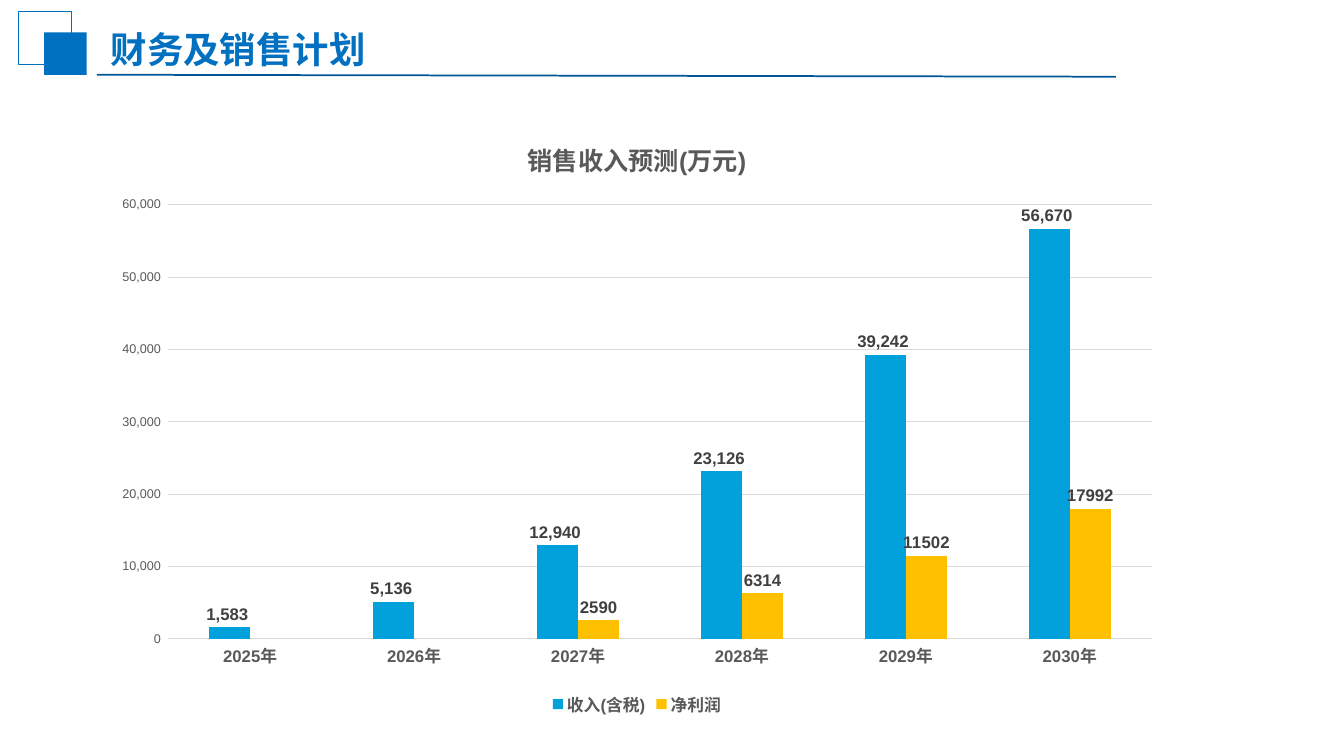
from lxml import etree
from pptx import Presentation
from pptx.chart.data import CategoryChartData
from pptx.dml.color import RGBColor
from pptx.enum import chart as charts, shapes, text
from pptx.oxml import ns
from pptx.util import Pt

CJK_FONT = "Noto Sans CJK SC"
BLUE = "0070C0"
GRID_GREY = "D9D9D9"
TEXT_GREY = "595959"


def color(hex_string):
    return RGBColor.from_string(hex_string)


def style_font(font, size, hex_string, bold=False, name="Arial"):
    font.size = Pt(size)
    font.bold = bold
    font.color.rgb = color(hex_string)
    font.name = name
    # East Asian characters use their own typeface
    etree.SubElement(font._rPr, ns.qn("a:ea"), typeface=CJK_FONT)


def style_line(line, hex_string, width):
    line.color.rgb = color(hex_string)
    line.width = Pt(width)


def add_square(slide, left, top, side):
    shape = slide.shapes.add_shape(
        shapes.MSO_SHAPE.RECTANGLE, Pt(left), Pt(top), Pt(side), Pt(side))
    shape.shadow.inherit = False
    return shape


def add_header(slide, left, top, title):
    # Rule under the title
    rule = slide.shapes.add_connector(
        shapes.MSO_CONNECTOR.STRAIGHT,
        Pt(left + 56.2), Pt(top + 45.4), Pt(left + 784), Pt(top + 46.8))
    style_line(rule.line, "015695", 1.25)
    etree.SubElement(rule._element.spPr, ns.qn("a:effectLst"))

    # Overlapping squares
    outline = add_square(slide, left, top, 37.8)
    outline.fill.background()
    style_line(outline.line, BLUE, 0.75)
    solid = add_square(slide, left + 18.5, top + 15.2, 30.4)
    solid.fill.solid()
    solid.fill.fore_color.rgb = color(BLUE)
    solid.line.fill.background()

    # Title
    box = slide.shapes.add_textbox(
        Pt(left + 59), Pt(top - 5), Pt(688.3), Pt(51.1))
    frame = box.text_frame
    frame.word_wrap = True
    frame.vertical_anchor = text.MSO_ANCHOR.MIDDLE
    paragraph = frame.paragraphs[0]
    paragraph.line_spacing = 1.4
    run = paragraph.add_run()
    run.text = title
    style_font(run.font, 26, "0170C1", True, CJK_FONT)


def style_axes(chart):
    category_axis = chart.category_axis
    style_font(category_axis.tick_labels.font, 12, TEXT_GREY, True)
    style_line(category_axis.format.line, GRID_GREY, 0.75)

    value_axis = chart.value_axis
    style_font(value_axis.tick_labels.font, 9, TEXT_GREY)
    value_axis.tick_labels.number_format = "#,##0_ "
    value_axis.tick_labels.number_format_is_linked = False
    value_axis.minimum_scale = 0
    value_axis.maximum_scale = 60000
    value_axis.major_unit = 10000
    value_axis.format.line.fill.background()
    style_line(value_axis.major_gridlines.format.line, GRID_GREY, 0.75)

    for axis in (category_axis, value_axis):
        axis.major_tick_mark = charts.XL_TICK_MARK.NONE
        axis.minor_tick_mark = charts.XL_TICK_MARK.NONE


def add_sales_chart(slide, left, top, width, height):
    data = CategoryChartData()
    data.categories = [f"{year}年" for year in range(2025, 2031)]
    data.add_series("收入(含税)", (1583, 5136, 12940, 23126, 39242, 56670))
    data.add_series("净利润", (None, None, 2590, 6314, 11502, 17992))
    chart = slide.shapes.add_chart(
        charts.XL_CHART_TYPE.COLUMN_CLUSTERED,
        Pt(left), Pt(top), Pt(width), Pt(height), data).chart
    style_font(chart.font, 10, "000000")

    # Title and legend
    chart.has_title = True
    run = chart.chart_title.text_frame.paragraphs[0].add_run()
    run.text = "销售收入预测(万元)"
    style_font(run.font, 18, TEXT_GREY, True)
    chart.chart_title.include_in_layout = False
    chart.has_legend = True
    chart.legend.position = charts.XL_LEGEND_POSITION.BOTTOM
    chart.legend.include_in_layout = False
    style_font(chart.legend.font, 12, TEXT_GREY, True)

    style_axes(chart)

    # Columns and their values
    plot = chart.plots[0]
    plot.gap_width = 199
    plot.overlap = 0
    plot.vary_by_categories = False
    looks = (("02A1DC", "#,##0_ "), ("FFC000", "General"))
    for series, (fill, number_format) in zip(plot.series, looks):
        series.format.fill.solid()
        series.format.fill.fore_color.rgb = color(fill)
        labels = series.data_labels
        labels.show_value = True
        labels.number_format = number_format
        labels.number_format_is_linked = False
        labels.position = charts.XL_LABEL_POSITION.OUTSIDE_END
        style_font(labels.font, 12, "404040", True)


def main():
    presentation = Presentation()
    presentation.slide_width = Pt(960)
    presentation.slide_height = Pt(540)
    slide = presentation.slides.add_slide(presentation.slide_layouts[6])
    add_header(slide, 13, 8, "财务及销售计划")
    add_sales_chart(slide, 72, 82.8, 766, 432)
    presentation.save("out.pptx")


if __name__ == "__main__":
    main()
